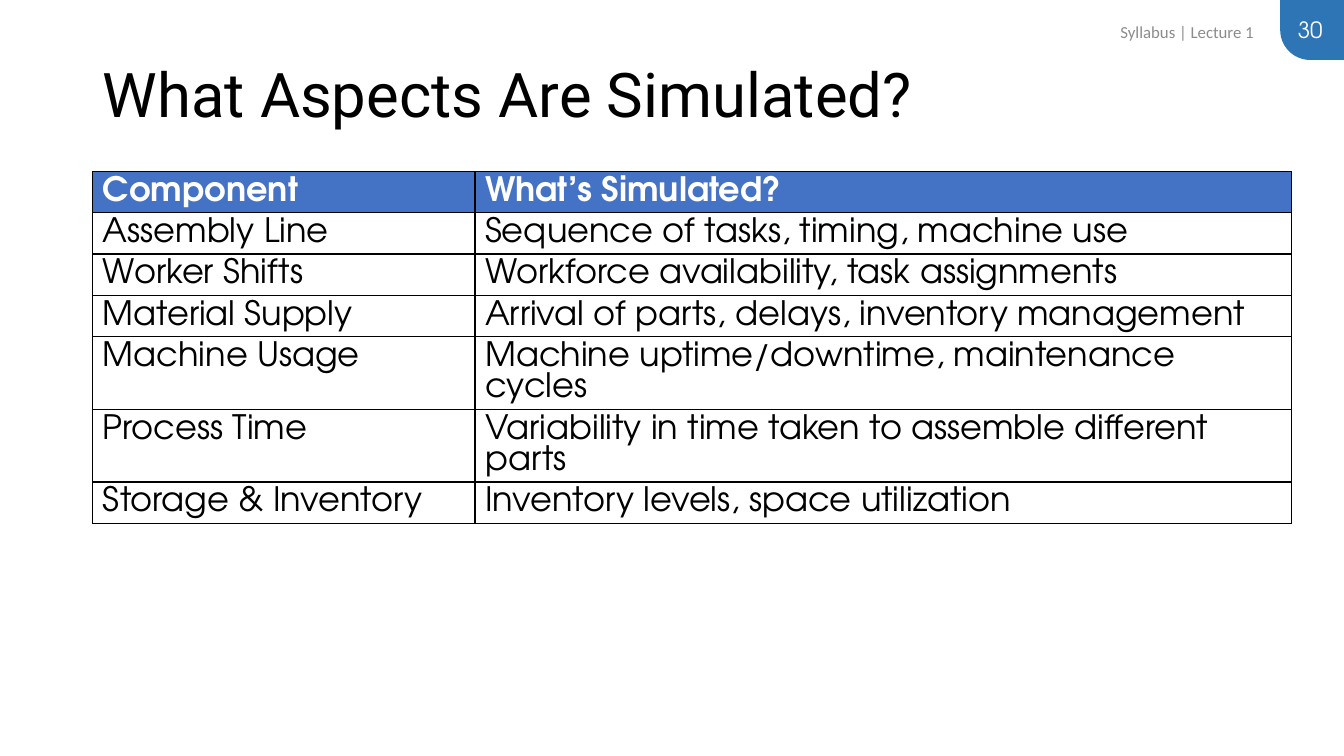
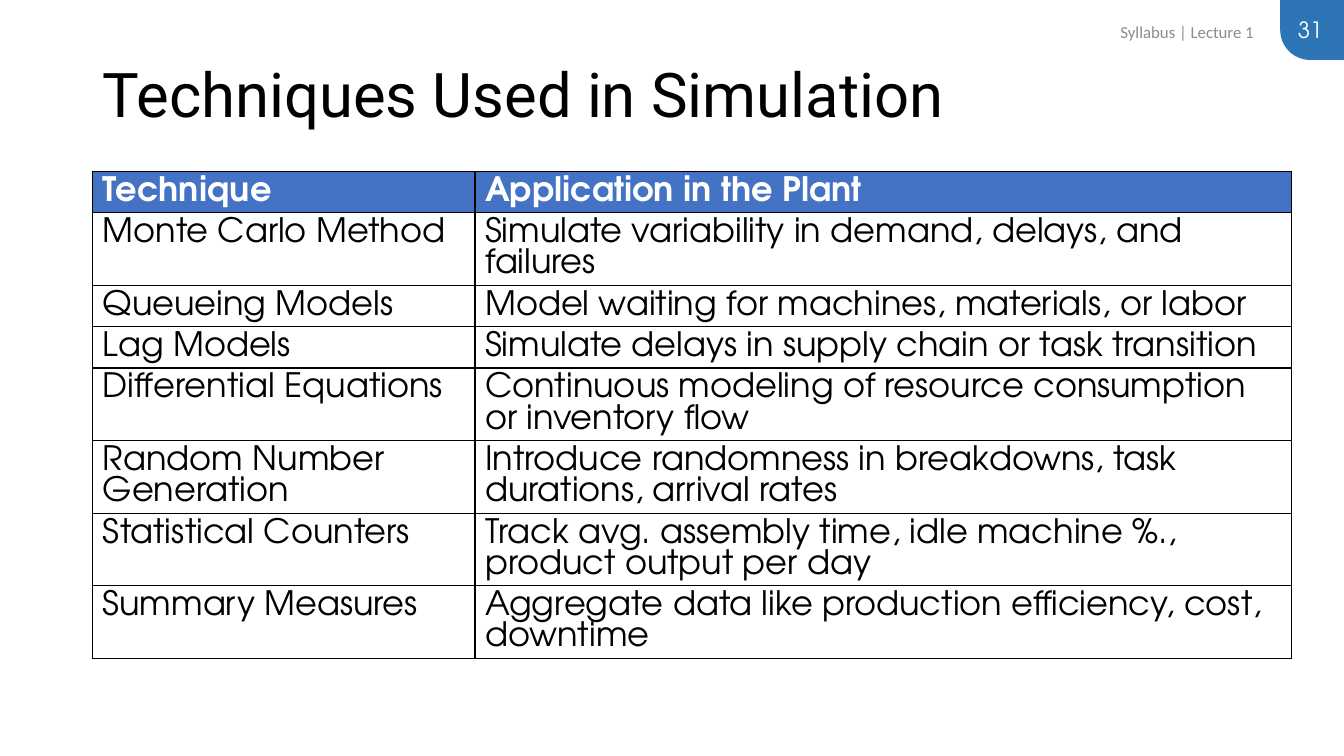
from collections import namedtuple

from lxml.etree import SubElement
from pptx import Presentation
from pptx.dml.color import RGBColor
from pptx.enum.shapes import MSO_SHAPE as Shape
from pptx.enum.text import MSO_ANCHOR as Anchor, PP_ALIGN as Align
from pptx.oxml.ns import qn
from pptx.util import Inches, Pt

BLACK = RGBColor(0x00, 0x00, 0x00)
WHITE = RGBColor(0xFF, 0xFF, 0xFF)
GRAY = RGBColor(0x8C, 0x8C, 0x8C)
TAB_BLUE = RGBColor(0x2E, 0x75, 0xB6)
HEAD_BLUE = RGBColor(0x44, 0x72, 0xC4)

TITLE_FONT = "Roboto"
BODY_FONT = "TeX Gyre Adventor"
LABEL_FONT = "Calibri"

WIDTH, HEIGHT = Inches(13.333), Inches(7.5)
COLUMN, ROW = WIDTH / 100, HEIGHT / 75

Box = namedtuple("Box", "left top width height")
TITLE_BOX = Box(6.9, 4, 86.25, 11.4)
TABLE_BOX = Box(6.9, 17, 89.2, 4.1)
TAB_BOX = Box(95.25, 0, 4.8, 5.95)
LABEL_BOX = Box(60.3, 1.2, 33.75, 4)

COLUMN_WEIGHTS = (28.45, 60.75)
CELL_SPACING = Pt(22.3)
FIRST_PAGE = 30
LECTURE = "Syllabus | Lecture 1"

PAGES = [
    ("What Aspects Are Simulated?", [
        ("Component", "What’s Simulated?"),
        ("Assembly Line", "Sequence of tasks, timing, machine use"),
        ("Worker Shifts", "Workforce availability, task assignments"),
        ("Material Supply", "Arrival of parts, delays, inventory management"),
        ("Machine Usage", "Machine uptime/downtime, maintenance cycles"),
        ("Process Time", "Variability in time taken to assemble different parts"),
        ("Storage & Inventory", "Inventory levels, space utilization"),
    ]),
    ("Techniques Used in Simulation", [
        ("Technique", "Application in the Plant"),
        ("Monte Carlo Method", "Simulate variability in demand, delays, and failures"),
        ("Queueing Models", "Model waiting for machines, materials, or labor"),
        ("Lag Models", "Simulate delays in supply chain or task transition"),
        ("Differential Equations",
         "Continuous modeling of resource consumption or inventory flow"),
        ("Random Number Generation",
         "Introduce randomness in breakdowns, task durations, arrival rates"),
        ("Statistical Counters",
         "Track avg. assembly time, idle machine %., product output per day"),
        ("Summary Measures", "Aggregate data like production efficiency, cost, downtime"),
    ]),
]


def place(box):
    return (round(box.left * COLUMN), round(box.top * ROW),
            round(box.width * COLUMN), round(box.height * ROW))


def write(frame, text, size, font, color, bold=False, align=Align.LEFT, spacing=None):
    frame.word_wrap = True
    para = frame.paragraphs[0]
    para.alignment = align
    para.line_spacing = spacing
    span = para.add_run()
    span.text = text
    span.font.size = Pt(size)
    span.font.name = font
    span.font.bold = bold
    span.font.color.rgb = color


def add_text(page, box, text, **style):
    frame = page.shapes.add_textbox(*place(box)).text_frame
    frame.vertical_anchor = Anchor.MIDDLE
    write(frame, text, **style)


def add_borders(cell, color, width):
    properties = cell._tc.get_or_add_tcPr()
    for index, side in enumerate(("a:lnL", "a:lnR", "a:lnT", "a:lnB")):
        line = SubElement(properties, qn(side), w=str(Pt(width)))
        fill = SubElement(line, qn("a:solidFill"))
        SubElement(fill, qn("a:srgbClr"), val=str(color))
        properties.insert(index, line)


def add_page_tab(page, box, number):
    tab = page.shapes.add_shape(Shape.ROUND_1_RECTANGLE, *place(box))
    tab.adjustments[0] = 0.5
    tab.rotation = 180
    tab.shadow.inherit = False
    tab.fill.solid()
    tab.fill.fore_color.rgb = TAB_BLUE
    tab.line.fill.background()
    number_box = Box(box.left - 0.9, box.top + 0.9, box.width, box.height - 1.95)
    add_text(page, number_box, str(number), size=16, font=BODY_FONT,
             color=WHITE, align=Align.RIGHT)


def add_grid(page, box, rows):
    left, top, width, row_height = place(box)
    table = page.shapes.add_table(len(rows), len(COLUMN_WEIGHTS), left, top,
                                  width, row_height * len(rows)).table
    table.horz_banding = False
    for column, weight in zip(table.columns, COLUMN_WEIGHTS):
        column.width = round(width * weight / sum(COLUMN_WEIGHTS))
    for row_index, texts in enumerate(rows):
        is_head = row_index == 0
        for column_index, text in enumerate(texts):
            cell = table.cell(row_index, column_index)
            cell.fill.solid()
            cell.fill.fore_color.rgb = HEAD_BLUE if is_head else WHITE
            add_borders(cell, BLACK, 1)
            write(cell.text_frame, text, size=24, font=BODY_FONT,
                  color=WHITE if is_head else BLACK, bold=is_head,
                  spacing=CELL_SPACING)


def add_table_page(deck, number, title, rows):
    page = deck.slides.add_slide(deck.slide_layouts[6])
    add_page_tab(page, TAB_BOX, number)
    add_text(page, TITLE_BOX, title, size=44, font=TITLE_FONT,
             color=BLACK, spacing=0.9)
    add_grid(page, TABLE_BOX, rows)
    add_text(page, LABEL_BOX, LECTURE, size=12, font=LABEL_FONT,
             color=GRAY, align=Align.RIGHT)


def main():
    deck = Presentation()
    deck.slide_width, deck.slide_height = WIDTH, HEIGHT
    for number, (title, rows) in enumerate(PAGES, FIRST_PAGE):
        add_table_page(deck, number, title, rows)
    deck.save("out.pptx")


if __name__ == "__main__":
    main()
